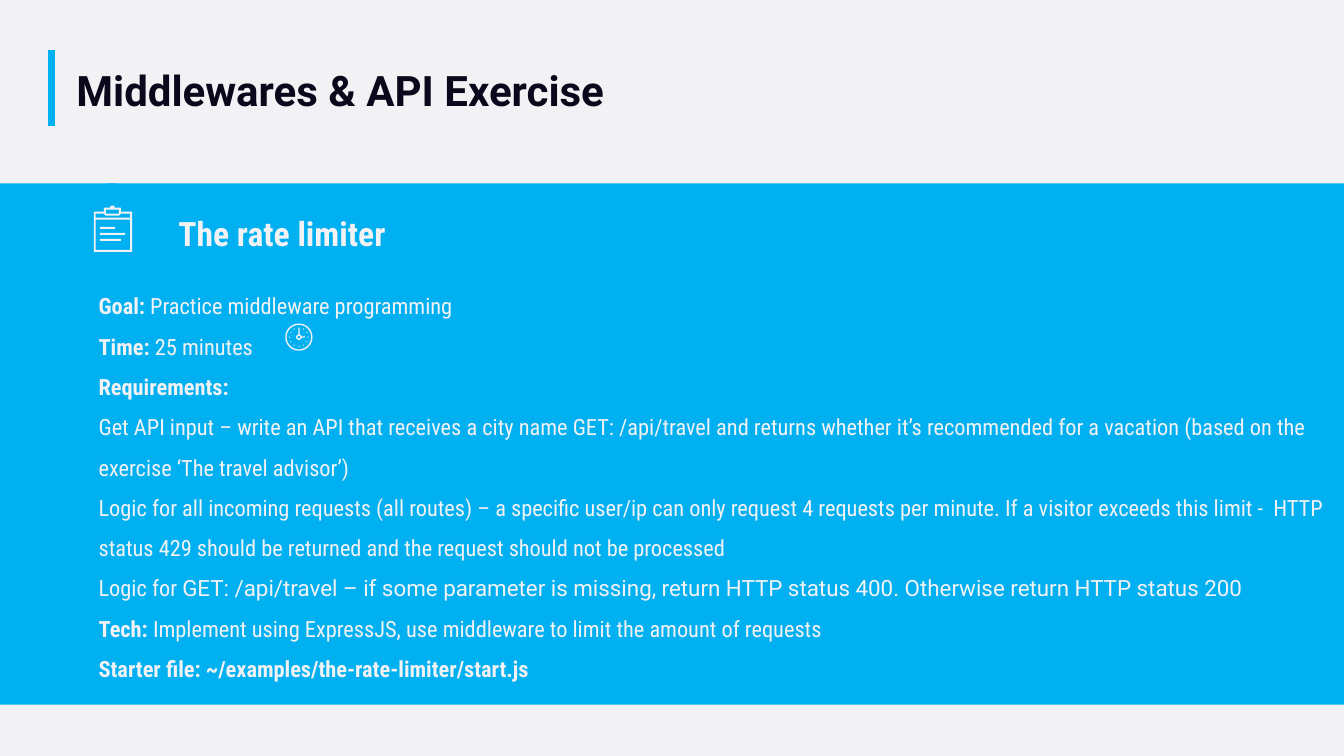
from math import cos, pi, sin

from pptx import Presentation
from pptx.dml.color import RGBColor
from pptx.enum.shapes import MSO_CONNECTOR as CONNECTOR, MSO_SHAPE as SHAPE
from pptx.enum.text import MSO_ANCHOR as ANCHOR
from pptx.oxml.ns import qn
from pptx.util import Inches, Pt
from lxml.etree import SubElement

BLUE = RGBColor(0x00, 0xB0, 0xF0)
PALE = RGBColor(0xF2, 0xF2, 0xF5)
INK = RGBColor(0x0A, 0x09, 0x1B)
SANS, NARROW = "Roboto", "Roboto Condensed"

TITLE_FORMAT = {"size": Pt(30), "name": SANS, "bold": True}
HEADING_FORMAT = {"size": Pt(24), "name": NARROW, "bold": True}
BODY_FORMAT = {"size": Pt(16), "name": NARROW, "bold": False}
BOLD = {"bold": True}

EXERCISE = [
    [("Goal: ", BOLD), ("Practice middleware programming", {})],
    [("Time: ", BOLD), ("25 minutes", {})],
    [("Requirements:", BOLD)],
    [("Get API input – write an API that receives a city name GET: /api/travel and returns "
      "whether it’s recommended for a vacation (based on the exercise ‘The travel advisor’)", {})],
    [("Logic for all incoming requests (all routes) – a specific user/ip can only request "
      "4 requests per minute. If a visitor exceeds this limit -  HTTP status 429 should be "
      "returned and the request should not be processed", {})],
    [("Logic for ", {}),
     ("GET: /api/travel – if some parameter is missing, return HTTP status 400. "
      "Otherwise return HTTP status 200", {"name": SANS})],
    [("Tech:", BOLD),
     (" Implement using ExpressJS, use middleware to limit the amount of requests", {})],
    [("Starter file: ~/examples/the-rate-limiter/start.js", BOLD)],
]


def add_text(slide, box, paragraphs, base_format, color, spacing=1.0, anchor=ANCHOR.TOP):
    """Add a wrapped text box whose runs vary a base format."""
    frame = slide.shapes.add_textbox(*map(Inches, box)).text_frame
    frame.word_wrap = True
    frame.vertical_anchor = anchor
    for index, runs in enumerate(paragraphs):
        paragraph = frame.add_paragraph() if index else frame.paragraphs[0]
        paragraph.line_spacing = spacing
        for text, changes in runs:
            run = paragraph.add_run()
            run.text = text
            run.font.color.rgb = color
            for attribute, value in {**base_format, **changes}.items():
                setattr(run.font, attribute, value)


def paint(shape, color):
    """Give a shape a flat fill without outline or shadow."""
    shape.shadow.inherit = False
    shape.fill.solid()
    shape.fill.fore_color.rgb = color
    shape.line.fill.background()


def add_outline(slide, left, top, contours):
    """Draw closed contours, offset from a corner, as one pale freeform."""
    placed = [[(Inches(left + x), Inches(top + y)) for x, y in points] for points in contours]
    builder = slide.shapes.build_freeform(*placed[0][0], scale=1.0)
    for index, points in enumerate(placed):
        if index:
            builder.move_to(*points[0])
        builder.add_line_segments(points[1:], close=True)
    paint(builder.convert_to_shape(), PALE)


def rectangle(left, top, right, bottom):
    """Return the corners of a rectangle."""
    return [(left, top), (right, top), (right, bottom), (left, bottom)]


def circle(x, y, radius, steps=48):
    """Return points around a circle."""
    angles = [2 * pi * step / steps for step in range(steps)]
    return [(x + radius * cos(angle), y + radius * sin(angle)) for angle in angles]


def add_clipboard(slide, left, top):
    """Draw the clipboard icon from its top left corner."""
    board = [(0, 0.46), (0, 0.06), (0.1, 0.06), (0.1, 0.02), (0.16, 0.02), (0.17, 0),
             (0.2, 0), (0.21, 0.02), (0.27, 0.02), (0.27, 0.06), (0.38, 0.06), (0.38, 0.46)]
    band = [(0.02, 0.12), (0.02, 0.08), (0.1, 0.08), (0.12, 0.1), (0.25, 0.1),
            (0.27, 0.08), (0.36, 0.08), (0.36, 0.12)]
    openings = [rectangle(0.12, 0.04, 0.25, 0.08), rectangle(0.02, 0.14, 0.36, 0.44)]
    rows = [rectangle(0.06, 0.21 + 0.06 * row, right, 0.23 + 0.06 * row)
            for row, right in enumerate((0.21, 0.31, 0.27))]
    add_outline(slide, left, top, [board, band, *openings, *rows])


def add_clock(slide, left, top, size):
    """Draw the clock icon in a square."""
    middle = size / 2
    rings = [circle(middle, middle, size * share) for share in (0.5, 0.45, 0.1, 0.05)]
    marks = [circle(x, y, 0.006, 8)
             for x, y in circle(middle, middle, size * 0.34, 12)]
    del marks[9]
    hands = [rectangle(middle - 0.006, 0.04, middle + 0.006, middle - 0.027),
             rectangle(middle + 0.027, middle - 0.006, middle + 0.06, middle + 0.006)]
    add_outline(slide, left, top, [*rings, *marks, *hands])


def add_header(slide, left, top, width, height):
    """Add the accent line and the slide title."""
    line = slide.shapes.add_connector(
        CONNECTOR.STRAIGHT, *map(Inches, (left, top, left, top + height)))
    line.line.color.rgb = BLUE
    line.line.width = Pt(5)
    SubElement(line._element.spPr, qn("a:effectLst"))
    add_text(slide, (left + 0.15, top - 0.31, width, 1.01),
             [[("Middlewares & API Exercise", {})]], TITLE_FORMAT, INK, 0.9, ANCHOR.BOTTOM)


def add_exercise(slide, left, top, width, height):
    """Add the blue panel with its heading, icons and instructions."""
    panel = slide.shapes.add_shape(
        SHAPE.RECTANGLE, *map(Inches, (left, top, width, height)))
    paint(panel, BLUE)
    add_text(slide, (left + 0.88, top + 0.9, width - 0.87, 4.09),
             EXERCISE, BODY_FORMAT, PALE, 1.5)
    add_text(slide, (left + 1.67, top + 0.24, 6.33, 0.5),
             [[("The rate limiter", {})]], HEADING_FORMAT, PALE)
    badge = slide.shapes.add_shape(
        SHAPE.OVAL, *map(Inches, (left + 0.66, top, 0.9, 0.9)))
    paint(badge, BLUE)
    add_clipboard(slide, left + 0.93, top + 0.22)
    add_clock(slide, left + 2.83, top + 1.39, 0.27)


def main():
    """Build and save the slide."""
    presentation = Presentation()
    presentation.slide_width = Inches(13.33)
    presentation.slide_height = Inches(7.5)
    slide = presentation.slides.add_slide(presentation.slide_layouts[6])
    slide.background.fill.solid()
    slide.background.fill.fore_color.rgb = PALE
    add_header(slide, 0.51, 0.5, 5.73, 0.75)
    add_exercise(slide, 0, 1.82, 13.33, 5.17)
    presentation.save("out.pptx")


if __name__ == "__main__":
    main()
